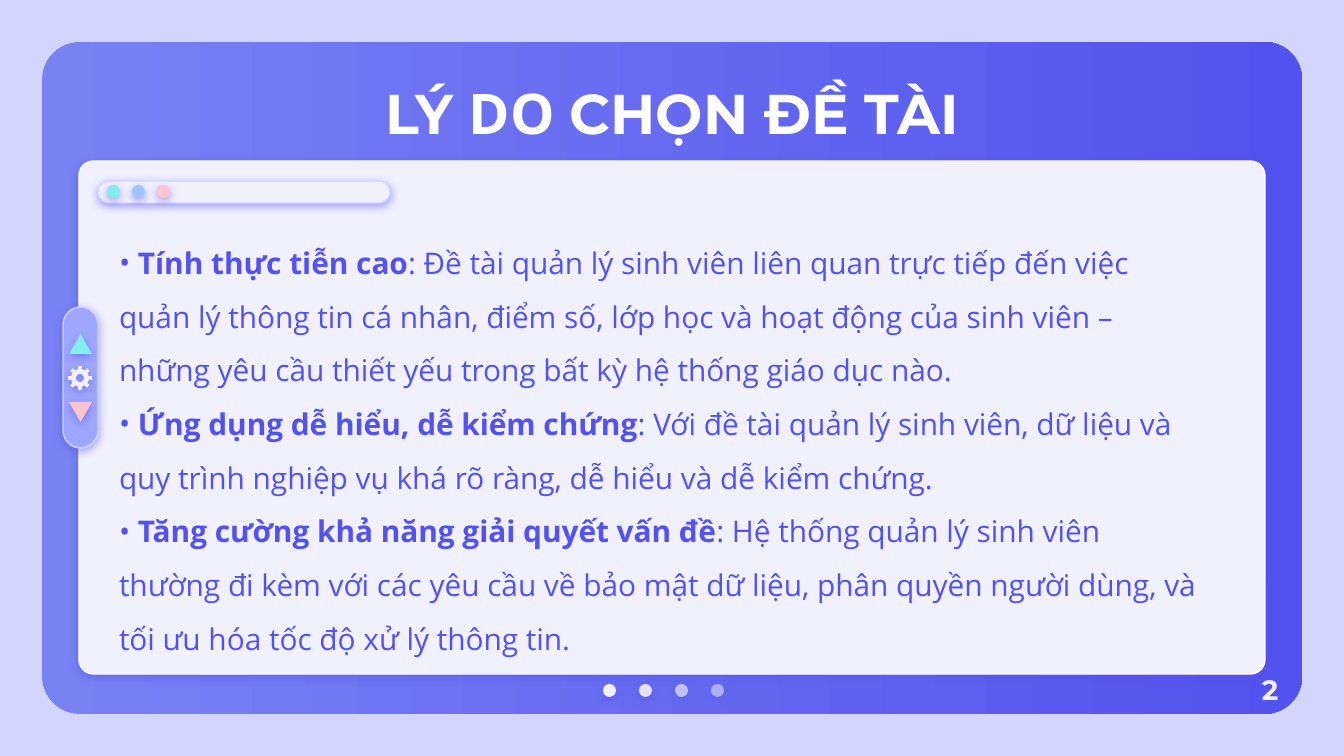
from dataclasses import dataclass
from math import cos, pi, sin

from pptx import Presentation
from pptx.dml.color import RGBColor
from pptx.enum.shapes import MSO_SHAPE
from pptx.enum.text import MSO_ANCHOR, MSO_AUTO_SIZE, PP_ALIGN
from pptx.oxml import parse_xml
from pptx.oxml.ns import nsdecls
from pptx.util import Pt

TITLE = [("LÝ ", "Montserrat"), ("DO ", "Open Sans"), ("CHỌN ĐỀ TÀI", "Montserrat")]
REASONS = [
    (
        "Tính thực tiễn cao",
        ": Đề tài quản lý sinh viên liên quan trực tiếp đến việc quản lý thông tin cá nhân, "
        "điểm số, lớp học và hoạt động của sinh viên – những yêu cầu thiết yếu trong bất kỳ "
        "hệ thống giáo dục nào.",
    ),
    (
        "Ứng dụng dễ hiểu, dễ kiểm chứng",
        ": Với đề tài quản lý sinh viên, dữ liệu và quy trình nghiệp vụ khá rõ ràng, "
        "dễ hiểu và dễ kiểm chứng.",
    ),
    (
        "Tăng cường khả năng giải quyết vấn đề",
        ": Hệ thống quản lý sinh viên thường đi kèm với các yêu cầu về bảo mật dữ liệu, "
        "phân quyền người dùng, và tối ưu hóa tốc độ xử lý thông tin.",
    ),
]
PAGE_NUMBER = "2"
PAGER_OPACITIES = [100, 90, 67, 54]


@dataclass(frozen=True)
class Theme:
    background: str = "D2D6FF"
    indigo: str = "5352EE"
    violet: str = "7882F3"
    lavender: str = "9EA6FF"
    paper: str = "F1F0FF"
    white: str = "FFFFFF"
    mint: str = "81EEEB"
    sky: str = "A1C3FF"
    pink: str = "FFC3D0"
    heading: str = "Montserrat"
    body: str = "Open Sans"
    title_size: int = 30
    body_size: int = 16
    number_size: int = 15


THEME = Theme()
SCALE = 9144000 / 1344
DOT = 13


def px(value):
    return round(value * SCALE)


def color(value):
    return RGBColor.from_string(value)


def style(shape, fill, line=None, opacity=100, shadow=True):
    shape.fill.solid()
    shape.fill.fore_color.rgb = color(fill)
    if opacity < 100:
        shape.fill._xPr.find(".//{*}srgbClr").append(
            parse_xml(f'<a:alpha {nsdecls("a")} val="{opacity * 1000}"/>')
        )
    if line:
        shape.line.color.rgb = color(line)
        shape.line.width = Pt(0.75)
    else:
        shape.line.fill.background()
    shape.shadow.inherit = False
    if shadow:
        shape._element.spPr.find("{*}effectLst").append(parse_xml(
            f'<a:outerShdw {nsdecls("a")} blurRad="{Pt(4.5)}" dist="{Pt(1.5)}" '
            f'dir="5400000" algn="bl" rotWithShape="0"><a:srgbClr val="{THEME.indigo}">'
            '<a:alpha val="50000"/></a:srgbClr></a:outerShdw>'
        ))
    return shape


def add_box(slide, kind, box, fill, radius=None, **format):
    shape = slide.shapes.add_shape(kind, *map(px, box))
    if radius is not None:
        shape.adjustments[0] = radius
    return style(shape, fill, **format)


def add_text(slide, box, paragraphs, size, fill, align=PP_ALIGN.LEFT,
             anchor=MSO_ANCHOR.TOP, inset=(13, 13, 13, 13), spacing=None, bullet=None, grow=False):
    shape = slide.shapes.add_textbox(*map(px, box))
    frame = shape.text_frame
    frame.word_wrap = True
    frame.auto_size = MSO_AUTO_SIZE.SHAPE_TO_FIT_TEXT if grow else MSO_AUTO_SIZE.NONE
    frame.vertical_anchor = anchor
    frame.margin_left, frame.margin_top, frame.margin_right, frame.margin_bottom = map(px, inset)
    for index, runs in enumerate(paragraphs):
        paragraph = frame.add_paragraph() if index else frame.paragraphs[0]
        paragraph.alignment = align
        paragraph.line_spacing = spacing
        if bullet:
            properties = paragraph._p.get_or_add_pPr()
            properties.set("marL", "0")
            properties.set("indent", "0")
            properties.append(parse_xml(f'<a:buFont {nsdecls("a")} typeface="{THEME.body}"/>'))
            properties.append(parse_xml(f'<a:buChar {nsdecls("a")} char="{bullet}"/>'))
        for text, font, bold in runs:
            run = paragraph.add_run()
            run.text = text
            run.font.name = font
            run.font.size = Pt(size)
            run.font.bold = bold
            run.font.color.rgb = color(fill)


def add_gear(slide, center_x, center_y, outer, inner, hole, teeth=8):
    def point(radius, turn):
        angle = 2 * pi * turn
        return px(center_x + radius * cos(angle)), px(center_y + radius * sin(angle))

    profile = [(inner, -0.25), (outer, -0.2), (outer, 0.2), (inner, 0.25)]
    rim = [point(radius, (tooth + offset) / teeth)
           for tooth in range(teeth) for radius, offset in profile]
    bore = [point(hole, -step / 32) for step in range(32)]
    builder = slide.shapes.build_freeform(*rim[0])
    builder.add_line_segments(rim[1:], close=True)
    builder.move_to(*bore[0])
    builder.add_line_segments(bore[1:], close=True)
    style(builder.convert_to_shape(), THEME.paper)


def add_dots(slide, left, top, step, dots):
    for index, (fill, opacity) in enumerate(dots):
        add_box(slide, MSO_SHAPE.OVAL, (left + index * step, top, DOT, DOT), fill, opacity=opacity)


def main():
    presentation = Presentation()
    presentation.slide_width, presentation.slide_height = px(1344), px(756)
    slide = presentation.slides.add_slide(presentation.slide_layouts[6])
    slide.background.fill.solid()
    slide.background.fill.fore_color.rgb = color(THEME.background)

    rounded = MSO_SHAPE.ROUNDED_RECTANGLE
    panel = add_box(slide, rounded, (42, 42, 1260, 672), THEME.indigo, 0.056, shadow=False)
    panel.fill.gradient()
    panel.fill.gradient_angle = 0
    for stop, value in zip(panel.fill.gradient_stops, (THEME.violet, THEME.indigo)):
        stop.color.rgb = color(value)

    add_box(slide, rounded, (79, 161, 1186, 513), THEME.paper, 0.028, line=THEME.white)
    add_box(slide, rounded, (98, 181, 292, 22), THEME.paper, 0.5, line=THEME.background)
    add_dots(slide, 107, 185, 25, [(fill, 100) for fill in (THEME.mint, THEME.sky, THEME.pink)])

    add_text(slide, (106, 66, 1132, 85), [[(text, font, True) for text, font in TITLE]],
             THEME.title_size, THEME.white, align=PP_ALIGN.CENTER)

    add_box(slide, rounded, (63, 307, 35, 141), THEME.lavender, 0.5, line=THEME.background)
    add_box(slide, MSO_SHAPE.ISOSCELES_TRIANGLE, (69, 334, 23, 20), THEME.mint)
    down = add_box(slide, MSO_SHAPE.ISOSCELES_TRIANGLE, (69, 402, 23, 20), THEME.pink)
    down.rotation = 180
    add_gear(slide, 80, 378, outer=12, inner=9, hole=4)

    reasons = [[(f" {name}", THEME.body, True), (detail, THEME.body, False)]
               for name, detail in REASONS]
    add_text(slide, (106, 218, 1116, 447), reasons, THEME.body_size, THEME.indigo,
             anchor=MSO_ANCHOR.MIDDLE, inset=(13, 7, 22, 7), spacing=1.5, bullet="•", grow=True)

    add_dots(slide, 603, 684, 36, [(THEME.paper, opacity) for opacity in PAGER_OPACITIES])
    add_text(slide, (1243, 666, 54, 42), [[(PAGE_NUMBER, THEME.heading, True)]],
             THEME.number_size, THEME.paper, align=PP_ALIGN.CENTER,
             anchor=MSO_ANCHOR.MIDDLE, spacing=1.15)
    presentation.save("out.pptx")


if __name__ == "__main__":
    main()
